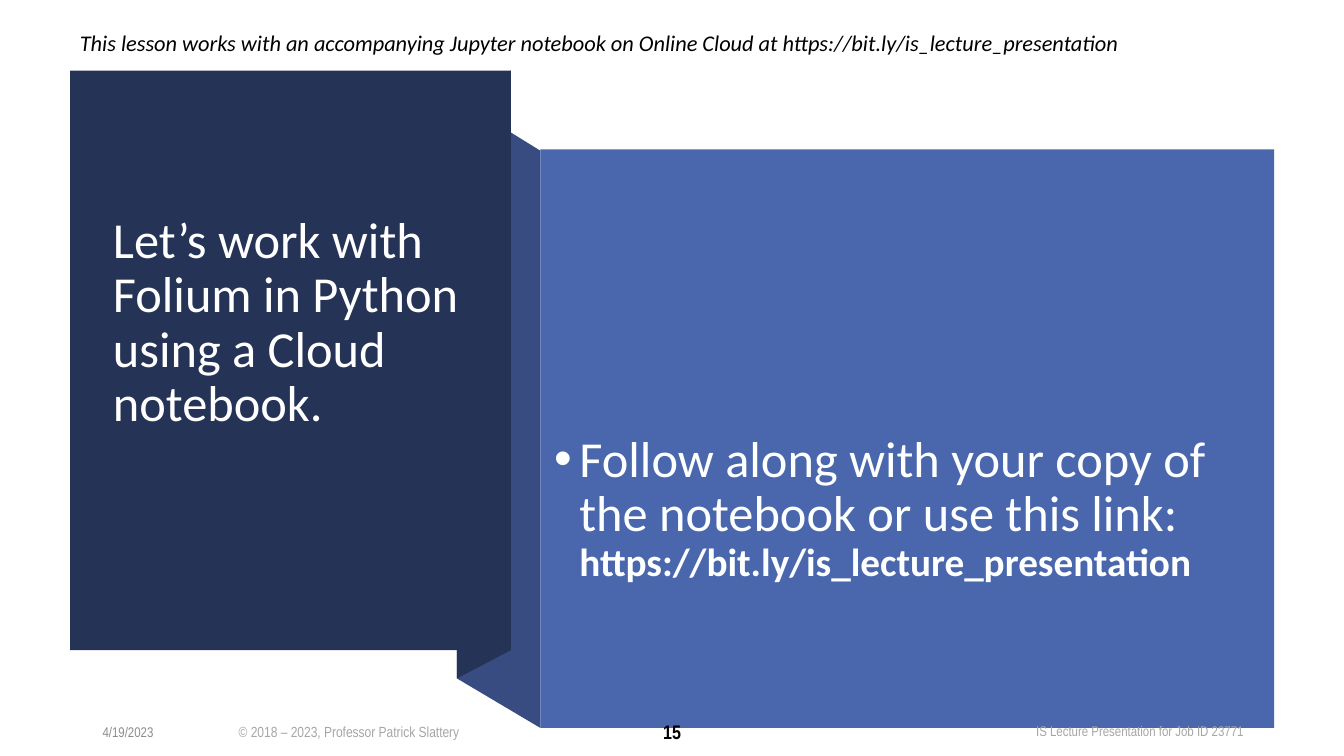
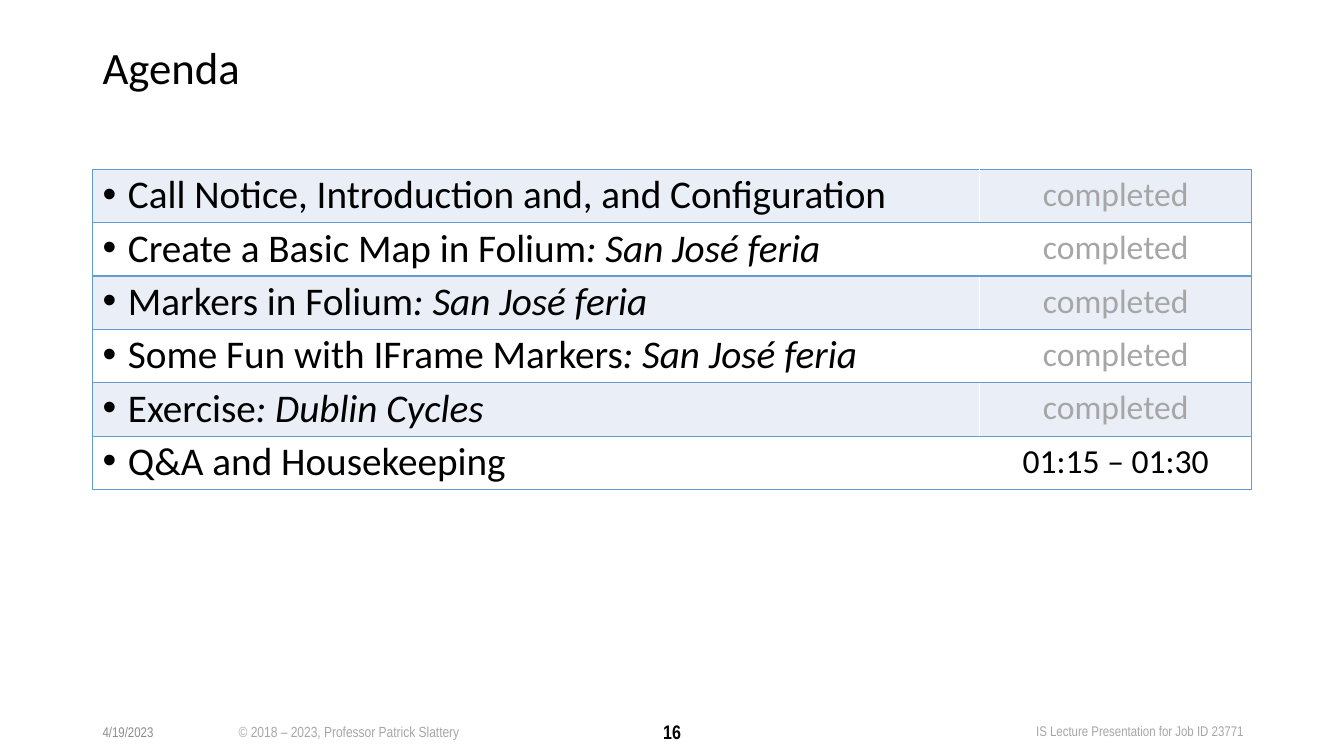
from collections import namedtuple
from dataclasses import dataclass

from lxml import etree
from pptx import Presentation
from pptx.dml.color import RGBColor
from pptx.enum import shapes, text
from pptx.oxml import ns
from pptx.util import Pt

Box = namedtuple("Box", "x y w h")
Run = namedtuple("Run", "words size color bold italic font",
                 defaults=(False, False, "Calibri"))


@dataclass(frozen=True)
class Theme:
    # Colours
    navy: str = "253356"
    fold: str = "384C81"
    blue: str = "4A66AC"
    band: str = "EAEFF7"
    edge: str = "629DD1"
    white: str = "FFFFFF"
    pale: str = "FEFFFF"
    black: str = "000000"
    gray: str = "A6A6A6"
    date: str = "8C8C8C"
    # Type sizes
    huge: float = 36
    title: float = 32
    body: float = 28
    state: float = 24
    note: float = 16
    page: float = 14
    legal: float = 10.5
    small: float = 10
    # Fonts and spacing
    foot: str = "Arial Narrow"
    tight: float = 0.9
    hang: float = 18


T = Theme()
LEFT, CENTER = text.PP_ALIGN.LEFT, text.PP_ALIGN.CENTER
TOP, MIDDLE = text.MSO_ANCHOR.TOP, text.MSO_ANCHOR.MIDDLE
LINK = "https://bit.ly/is_lecture_presentation"


# Shared helpers
def pts(box):
    return [Pt(v) for v in box]


def paint(shape, color):
    shape.shadow.inherit = False
    shape.fill.solid()
    shape.fill.fore_color.rgb = RGBColor.from_string(color)
    shape.line.fill.background()


def bullet(para):
    props = para._p.get_or_add_pPr()
    props.set("marL", str(Pt(T.hang)))
    props.set("indent", str(-Pt(T.hang)))
    font = etree.SubElement(props, ns.qn("a:buFont"))
    font.set("typeface", "Arial")
    etree.SubElement(props, ns.qn("a:buChar")).set("char", "•")


def write(frame, runs, align=LEFT, tight=False, dot=False):
    para = frame.paragraphs[0]
    if dot:
        bullet(para)
    para.alignment = align
    if tight:
        para.line_spacing = T.tight
    for item in runs:
        run = para.add_run()
        run.text = item.words
        font = run.font
        font.name, font.size = item.font, Pt(item.size)
        font.bold, font.italic = item.bold, item.italic
        font.color.rgb = RGBColor.from_string(item.color)


def label(slide, box, runs, anchor=TOP, wrap=True, **style):
    frame = slide.shapes.add_textbox(*pts(box)).text_frame
    frame.word_wrap = wrap
    frame.vertical_anchor = anchor
    write(frame, runs, **style)


def block(slide, box, color):
    shape = slide.shapes.add_shape(shapes.MSO_SHAPE.RECTANGLE, *pts(box))
    paint(shape, color)


def outline(slide, spots, color):
    start, *rest = [(Pt(x), Pt(y)) for x, y in spots]
    maker = slide.shapes.build_freeform(*start)
    maker.add_line_segments(rest, close=True)
    paint(maker.convert_to_shape(), color)


# Regions
def footer(slide, box, page):
    def foot(words, size, color, bold=False):
        return [Run(words, size, color, bold, font=T.foot)]

    label(slide, Box(box.x, box.y, 83.5, box.h),
          foot("4/19/2023", T.small, T.date), MIDDLE)
    label(slide, Box(box.x + (box.w - 216) / 2, box.y, 216, box.h),
          foot(str(page), T.page, T.black, True), MIDDLE, align=CENTER)
    label(slide, Box(box.x + 97.2, box.y + 4.3, 173.5, 20),
          foot("© 2018 – 2023, Professor Patrick Slattery", T.legal, T.gray),
          wrap=False)
    label(slide, Box(box.x + 666.8, box.y + 4.3, 163.4, 19.4),
          foot("IS Lecture Presentation for Job ID 23771", T.small, T.gray),
          wrap=False)


def title(slide, box, words, size, color):
    label(slide, box, [Run(words, size, color)], tight=True)


def folds(slide, near, far):
    """Join the near panel to the far panel with two folded strips."""
    right, base = near.x + near.w, near.y + near.h
    back = right - 38.6
    top, low = near.y + 20.4, base + 20.2
    outline(slide, [(far.x, far.y + far.h), (back, low),
                    (back, top), (far.x, far.y + 1)], T.fold)
    outline(slide, [(right, base), (back, low),
                    (back, top), (right, near.y)], T.navy)


def near_panel(slide, box, words):
    block(slide, box, T.navy)
    title(slide, Box(box.x + 23.6, box.y + 99.4, 267.2, 286.6),
          words, T.huge, T.white)


def far_panel(slide, box, runs):
    block(slide, box, T.blue)
    label(slide, Box(box.x + 2.8, box.y + 144, 512, 226), runs,
          MIDDLE, tight=True, dot=True)


def border(cell, sides):
    props = cell._tc.get_or_add_tcPr()
    for spot, side in enumerate(sides):
        line = etree.Element(ns.qn("a:ln" + side), w=str(Pt(1)))
        fill = etree.SubElement(line, ns.qn("a:solidFill"))
        etree.SubElement(fill, ns.qn("a:srgbClr"), val=T.edge)
        props.insert(spot, line)


def agenda(slide, box, items):
    grid = slide.shapes.add_table(len(items), 2, *pts(box)).table
    grid.first_row = grid.horz_banding = False
    for col, wide in zip(grid.columns, (box.w - 194.4, 194.4)):
        col.width = Pt(wide)
    for index, (topic, place, state) in enumerate(items):
        grid.rows[index].height = Pt(box.h / len(items))
        runs = [Run(topic, T.body, T.black)]
        if place:
            runs.append(Run(": " + place, T.body, T.black, italic=True))
        tone = T.gray if state == "completed" else T.black
        task, time = grid.cell(index, 0), grid.cell(index, 1)
        write(task.text_frame, runs, tight=True, dot=True)
        write(time.text_frame, [Run(state, T.state, tone)], CENTER)
        for cell, sides in ((task, "LTB"), (time, "RTB")):
            cell.fill.solid()
            cell.fill.fore_color.rgb = RGBColor.from_string(
                T.white if index % 2 else T.band)
            border(cell, sides)


# Slides
FOOT = Box(66.2, 508.3, 828, 28.8)


def lesson(slide, page):
    near = Box(50, 50.4, 315, 414)
    far = Box(386, 106.7, 524.2, 413.3)
    folds(slide, near, far)
    near_panel(slide, near,
               "Let’s work with Folium in Python using a Cloud notebook.")
    far_panel(slide, far, [
        Run("Follow along with your copy of the notebook or use this link: ",
            T.huge, T.pale),
        Run(LINK, T.body, T.pale, True)])
    footer(slide, FOOT, page)
    label(slide, Box(50, 17.3, 800, 26.6), [
        Run("This lesson works with an accompanying Jupyter notebook "
            "on Online Cloud at " + LINK, T.note, T.black, italic=True)])


def plan(slide, page):
    title(slide, Box(66.2, 28.8, 828, 82), "Agenda", T.title, T.black)
    done, feria = "completed", "San José feria"
    agenda(slide, Box(66.2, 121, 828, 228.6), [
        ("Call Notice, Introduction and, and Configuration", "", done),
        ("Create a Basic Map in Folium", feria, done),
        ("Markers in Folium", feria, done),
        ("Some Fun with IFrame Markers", feria, done),
        ("Exercise", "Dublin Cycles", done),
        ("Q&A and Housekeeping", "", "01:15 – 01:30")])
    footer(slide, FOOT, page)


def main():
    deck = Presentation()
    deck.slide_width, deck.slide_height = Pt(960), Pt(540)
    for page, build in enumerate((lesson, plan), 15):
        build(deck.slides.add_slide(deck.slide_layouts[6]), page)
    deck.save("out.pptx")


if __name__ == "__main__":
    main()
